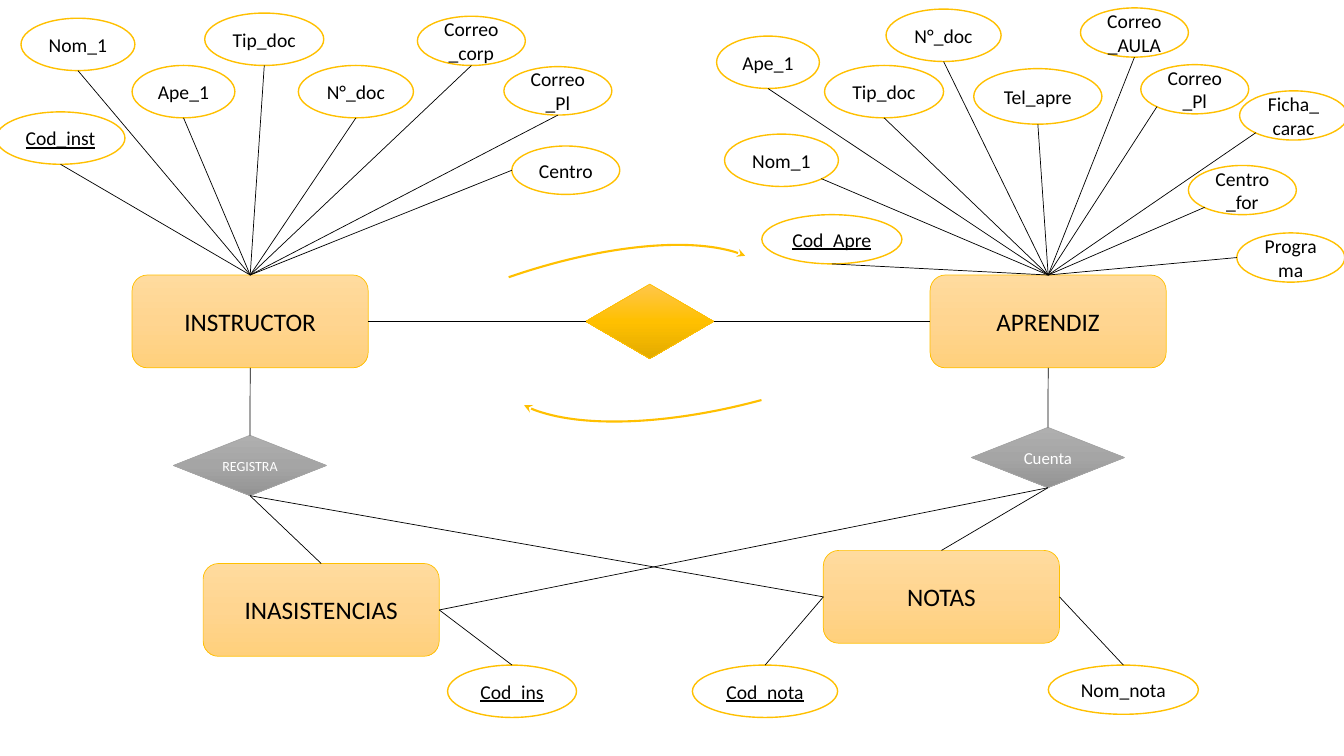
from copy import deepcopy
from dataclasses import dataclass

from lxml import etree
from pptx import Presentation
from pptx import util as u
from pptx.dml.color import RGBColor
from pptx.enum import shapes, text
from pptx.oxml.ns import qn


@dataclass(frozen=True)
class Theme:
    font: str = "Calibri"
    gold: str = "FFC000"
    grey: str = "A5A5A5"
    ink: str = "000000"
    paper: str = "FFFFFF"
    peach_fade: tuple = ("FFDB9E", "FFD590", "FFD07C")
    gold_fade: tuple = ("FFC64B", "FFC000", "E3AB00")
    grey_fade: tuple = ("AFAFAF", "A5A5A5", "939393")
    entity_size: int = 18
    attribute_size: int = 14
    thin: float = 0.5
    outline: float = 1
    arrow: float = 1.5


THEME = Theme()
TOP, LEFT, BOTTOM, RIGHT = range(4)
BOTTOM_LEFT, BOTTOM_RIGHT = 4, 5

# Lengths in centimetres
ENTITY_SIZE = (5.95, 2.34)
ENTITIES = {
    "INSTRUCTOR": (3.33, 6.93),
    "APRENDIZ": (23.44, 6.93),
    "NOTAS": (20.75, 13.87),
    "INASISTENCIAS": (5.12, 14.2),
}

# name: label, type size, box, fade, outline
RELATIONS = {
    "central": ("", 12, (14.76, 7.16, 3.23, 1.88), THEME.gold_fade, THEME.gold),
    "registra": ("REGISTRA", 10, (4.37, 10.97, 3.86, 1.52), THEME.grey_fade, THEME.grey),
    "cuenta": ("Cuenta", 12, (24.48, 10.77, 3.86, 1.52), THEME.grey_fade, THEME.grey),
}

LINKS = [
    ("INSTRUCTOR", RIGHT, "central", LEFT),
    ("central", RIGHT, "APRENDIZ", LEFT),
    ("INSTRUCTOR", BOTTOM, "registra", TOP),
    ("registra", BOTTOM, "INASISTENCIAS", TOP),
    ("registra", BOTTOM, "NOTAS", LEFT),
    ("APRENDIZ", BOTTOM, "cuenta", TOP),
    ("cuenta", BOTTOM, "NOTAS", TOP),
    ("cuenta", BOTTOM, "INASISTENCIAS", RIGHT),
]

# (entity, its side): attribute, box, side of the attribute where the line starts
ATTRIBUTES = {
    ("INSTRUCTOR", TOP): [
        ("Cod_inst", (-0.1, 2.82, 3.25, 1.32), BOTTOM),
        ("Nom_1", (0.53, 0.46, 2.87, 1.32), BOTTOM),
        ("Ape_1", (3.33, 1.65, 2.59, 1.32), BOTTOM),
        ("Tip_doc", (5.16, 0.33, 3, 1.32), BOTTOM),
        ("Correo_Pl", (12.7, 1.68, 2.72, 1.22), BOTTOM),
        ("Correo_corp", (10.52, 0.41, 2.72, 1.24), BOTTOM),
        ("N°_doc", (7.52, 1.65, 2.9, 1.32), BOTTOM),
        ("Centro", (12.9, 3.68, 2.72, 1.22), LEFT),
    ],
    ("APRENDIZ", TOP): [
        ("Cod_Apre", (19.2, 5.41, 3.53, 1.24), BOTTOM),
        ("Nom_1", (18.26, 3.38, 2.87, 1.32), BOTTOM_RIGHT),
        ("Ape_1", (18.06, 0.91, 2.59, 1.32), BOTTOM),
        ("Tel_apre", (24.54, 1.73, 3.23, 1.4), BOTTOM),
        ("Correo_AULA", (27.23, 0.2, 2.72, 1.24), BOTTOM),
        ("Correo_Pl", (28.75, 1.63, 2.72, 1.24), BOTTOM_LEFT),
        ("Ficha_carac", (31.24, 2.29, 2.72, 1.24), BOTTOM_LEFT),
        ("Centro_for", (29.95, 4.17, 2.72, 1.24), BOTTOM_LEFT),
        ("Programa", (31.17, 5.87, 2.72, 1.24), LEFT),
        ("Tip_doc", (20.78, 1.65, 3, 1.32), BOTTOM),
        ("N°_doc", (22.33, 0.23, 2.9, 1.32), BOTTOM),
    ],
    ("INASISTENCIAS", RIGHT): [("Cod_ins", (11.28, 16.76, 3.25, 1.32), TOP)],
    ("NOTAS", LEFT): [("Cod_nota", (17.45, 16.76, 3.66, 1.32), TOP)],
    ("NOTAS", RIGHT): [("Nom_nota", (26.42, 16.76, 3.78, 1.24), TOP)],
}

ARC_SIZE = (12.5, 4.57)
ARC_SWEEP = (162, 211.04)
ARCS = [((7.32, 6.86), 340.9), ((12.34, 5.59), 164.8)]  # corner, rotation

# Share of width and height at which a line leaves an ellipse
ELLIPSE_POINTS = {
    TOP: (0.5, 0),
    LEFT: (0, 0.5),
    BOTTOM: (0.5, 1),
    BOTTOM_LEFT: (0.15, 0.85),
    BOTTOM_RIGHT: (0.85, 0.85),
}


def rgb(code):
    return RGBColor.from_string(code)


def set_line(line, color, width):
    line.color.rgb = rgb(color)
    line.width = u.Pt(width)


def set_fill(fill, shape, colors):
    """Fill with one colour, or with a three-stop fade from top to bottom."""
    if isinstance(colors, str):
        fill.solid()
        fill.fore_color.rgb = rgb(colors)
        return
    fill.gradient()
    fill.gradient_angle = 270
    stops = shape._element.spPr.find(qn("a:gradFill")).find(qn("a:gsLst"))
    stops.insert(1, deepcopy(stops[0]))
    for stop, position, color in zip(fill.gradient_stops, (0, 0.5, 1), colors):
        stop.position = position
        stop.color.rgb = rgb(color)


def add_node(slide, kind, box, label, size, color, fill, outline, width):
    node = slide.shapes.add_shape(kind, *map(u.Cm, box))
    node.shadow.inherit = False
    set_fill(node.fill, node, fill)
    set_line(node.line, outline, width)
    if label:
        node.text_frame.text = label
        node.text_frame.vertical_anchor = text.MSO_ANCHOR.MIDDLE
        paragraph = node.text_frame.paragraphs[0]
        paragraph.alignment = text.PP_ALIGN.CENTER
        paragraph.font.name = THEME.font
        paragraph.font.size = u.Pt(size)
        paragraph.font.color.rgb = rgb(color)
        if label.startswith("Cod_"):  # key attributes are underlined
            paragraph.font.underline = True
    return node


def add_link(slide, start=(0, 0)):
    link = slide.shapes.add_connector(
        shapes.MSO_CONNECTOR.STRAIGHT, *map(u.Cm, start), *map(u.Cm, start))
    set_line(link.line, THEME.ink, THEME.thin)
    etree.SubElement(link._element.spPr, qn("a:effectLst"))
    return link


def add_arc(slide, corner, rotation):
    arc = slide.shapes.add_shape(shapes.MSO_SHAPE.ARC, *map(u.Cm, corner + ARC_SIZE))
    arc.adjustments[0], arc.adjustments[1] = ARC_SWEEP
    arc.rotation = rotation
    arc.shadow.inherit = False
    arc.fill.background()
    set_line(arc.line, THEME.gold, THEME.arrow)
    outline = arc._element.spPr.find(qn("a:ln"))
    etree.SubElement(outline, qn("a:tailEnd"), type="stealth")


def main():
    deck = Presentation()
    deck.slide_width, deck.slide_height = u.Cm(33.87), u.Cm(19.05)
    slide = deck.slides.add_slide(deck.slide_layouts[6])

    nodes = {}
    for entity, corner in ENTITIES.items():
        nodes[entity] = add_node(
            slide, shapes.MSO_SHAPE.ROUNDED_RECTANGLE, corner + ENTITY_SIZE, entity,
            THEME.entity_size, THEME.ink, THEME.peach_fade, THEME.gold, THEME.thin)
    for relation, (label, size, box, fade, outline) in RELATIONS.items():
        nodes[relation] = add_node(
            slide, shapes.MSO_SHAPE.FLOWCHART_DECISION, box, label,
            size, THEME.paper, fade, outline, THEME.thin)

    for (entity, entity_side), attributes in ATTRIBUTES.items():
        for label, box, side in attributes:
            add_node(slide, shapes.MSO_SHAPE.OVAL, box, label, THEME.attribute_size,
                     THEME.ink, THEME.paper, THEME.gold, THEME.outline)
            x, y, width, height = box
            across, down = ELLIPSE_POINTS[side]
            link = add_link(slide, (x + across * width, y + down * height))
            link.end_connect(nodes[entity], entity_side)

    for source, source_side, target, target_side in LINKS:
        link = add_link(slide)
        link.begin_connect(nodes[source], source_side)
        link.end_connect(nodes[target], target_side)

    for corner, rotation in ARCS:
        add_arc(slide, corner, rotation)
    deck.save("out.pptx")


if __name__ == "__main__":
    main()
